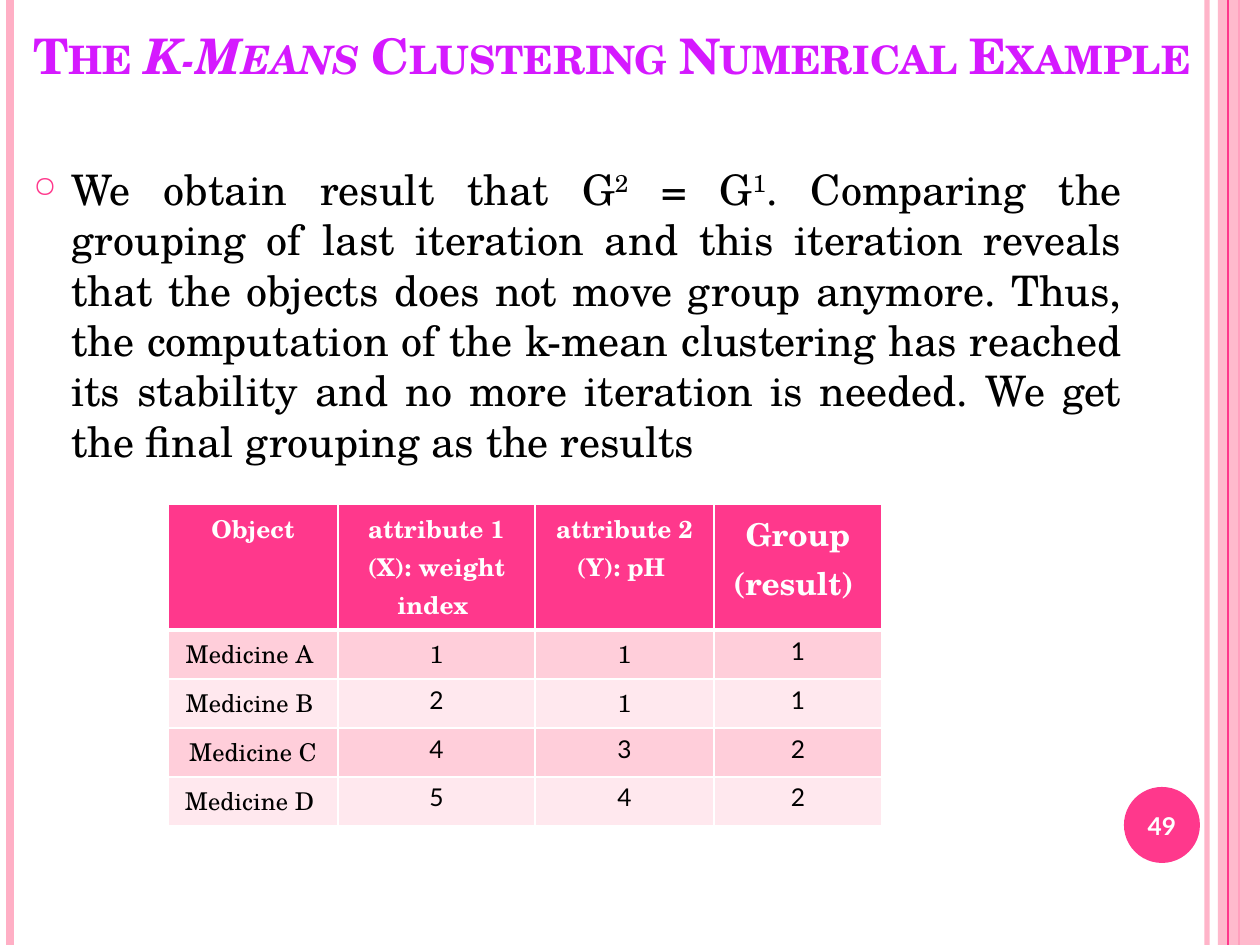
from dataclasses import dataclass

from lxml.etree import SubElement
from pptx import Presentation
from pptx.dml.color import RGBColor
from pptx.enum.shapes import MSO_CONNECTOR, MSO_SHAPE
from pptx.enum.text import MSO_ANCHOR, PP_ALIGN
from pptx.oxml.ns import qn
from pptx.util import Emu, Pt

PX_PER_INCH = 126
WIDTH, HEIGHT = 1260, 945


@dataclass(frozen=True)
class Theme:
    accent: str = "FF388C"
    pale: str = "FFAFC5"
    band_dark: str = "FFCEDA"
    band_light: str = "FFE8EE"
    title: str = "D519FF"
    ink: str = "000000"
    white: str = "FFFFFF"
    serif: str = "TeX Gyre Schola"
    sans: str = "Lato"
    title_size: int = 28
    body_size: int = 24
    result_size: int = 18
    cell_size: int = 14


THEME = Theme()

# Each span is its text and a style: "" plain, "i" italic, "sup" superscript
TITLE = [("The ", ""), ("K-Means", "i"), (" Clustering Numerical Example", "")]
BODY = [
    ("We obtain result that G", ""), ("2", "sup"), (" = G", ""), ("1", "sup"),
    (". Comparing the grouping of last iteration and this iteration reveals "
     "that the objects does not move group anymore. Thus, the computation of "
     "the k-mean clustering has reached its stability and no more iteration "
     "is needed. We get the final grouping as the results ", ""),
]
HEADER = ["Object", "attribute 1 (X): weight index ",
          "attribute 2 (Y): pH ", "Group (result) "]
ROWS = [
    ["Medicine A ", "1", "1", "1"],
    ["Medicine B ", "2", "1", "1"],
    ["Medicine C", "4", "3", "2"],
    ["Medicine D ", "5", "4", "2"],
]
SERIF_VALUES = {(1, 1), (1, 2), (2, 2)}
COLUMN_WIDTHS = [170, 197, 179, 168]
HEADER_HEIGHT, ROW_HEIGHT = 126, 49


def px(length):
    return Emu(round(length * 914400 / PX_PER_INCH))


def rgb(color):
    return RGBColor.from_string(color)


def style_font(font, face, size, color, bold=False):
    font.name = face
    font.size = Pt(size)
    font.bold = bold
    font.color.rgb = rgb(color)


def set_alpha(parent, percent):
    color = next(parent.iter(qn("a:srgbClr")))
    SubElement(color, qn("a:alpha"), val=str(percent * 1000))


def add_rule(page, x, color, weight, alpha=100):
    rule = page.shapes.add_connector(
        MSO_CONNECTOR.STRAIGHT, px(x), 0, px(x), px(HEIGHT))
    rule.line.color.rgb = rgb(color)
    rule.line.width = Pt(weight)
    if alpha < 100:
        set_alpha(rule._element.spPr, alpha)
    SubElement(rule._element.spPr, qn("a:effectLst"))


def add_solid(page, kind, frame, color, alpha=100):
    shape = page.shapes.add_shape(kind, *map(px, frame))
    shape.shadow.inherit = False
    shape.fill.solid()
    shape.fill.fore_color.rgb = rgb(color)
    shape.line.fill.background()
    if alpha < 100:
        set_alpha(shape._element.spPr, alpha)


def add_box(page, frame, anchor):
    box = page.shapes.add_textbox(*map(px, frame))
    box.text_frame.word_wrap = True
    box.text_frame.vertical_anchor = anchor
    return box.text_frame.paragraphs[0]


def add_spans(para, spans, *look):
    for text, style in spans:
        span = para.add_run()
        span.text = text
        style_font(span.font, *look)
        if style == "i":
            span.font.italic = True
        elif style == "sup":
            span.font._element.set("baseline", "30000")


def add_bullet(para, char, color, percent):
    props = para._p.get_or_add_pPr()
    props.set("marL", str(px(38)))
    props.set("indent", str(-px(38)))
    bullet_color = SubElement(props, qn("a:buClr"))
    SubElement(bullet_color, qn("a:srgbClr"), val=color)
    SubElement(props, qn("a:buSzPct"), val=str(percent * 1000))
    SubElement(props, qn("a:buChar"), char=char)


def set_title(page):
    title = page.shapes.title
    title.left, title.top, title.width, title.height = map(px, (21, 32, 1239, 59))
    title.text_frame.word_wrap = True
    title.text_frame.vertical_anchor = MSO_ANCHOR.BOTTOM
    para = title.text_frame.paragraphs[0]
    para.alignment = PP_ALIGN.LEFT
    add_spans(para, TITLE, THEME.serif, THEME.title_size, THEME.title, True)
    for span in para.runs:
        span.font._element.set("cap", "small")


def add_body(page):
    para = add_box(page, (21, 157, 1113, 357), MSO_ANCHOR.TOP)
    para.alignment = PP_ALIGN.JUSTIFY
    add_bullet(para, "○", THEME.accent, 70)
    add_spans(para, BODY, THEME.serif, THEME.body_size, THEME.ink)


def set_borders(cell, top, bottom):
    props = cell._tc.get_or_add_tcPr()
    weights = {"a:lnL": 1, "a:lnR": 1, "a:lnT": top, "a:lnB": bottom}
    for place, (tag, weight) in enumerate(weights.items()):
        line = SubElement(props, qn(tag), w=str(Pt(weight)))
        fill = SubElement(line, qn("a:solidFill"))
        SubElement(fill, qn("a:srgbClr"), val=THEME.white)
        props.insert(place, line)


def fill_cell(cell, text, row, column):
    header = row == 0
    serif = header or column == 0 or (row, column) in SERIF_VALUES
    band = THEME.band_dark if row % 2 else THEME.band_light
    cell.fill.solid()
    cell.fill.fore_color.rgb = rgb(THEME.accent if header else band)
    set_borders(cell, top=3 if row == 1 else 1, bottom=3 if header else 1)
    cell.margin_top = cell.margin_bottom = px(6)
    cell.text = text
    para = cell.text_frame.paragraphs[0]
    para.alignment = PP_ALIGN.CENTER
    size = THEME.result_size if header and column == 3 else THEME.cell_size
    style_font(para.runs[0].font, THEME.serif if serif else THEME.sans, size,
               THEME.white if header else THEME.ink, header)


def add_result_table(page):
    heights = [HEADER_HEIGHT] + [ROW_HEIGHT] * len(ROWS)
    frame = (168, 504, sum(COLUMN_WIDTHS), sum(heights))
    table = page.shapes.add_table(
        len(heights), len(COLUMN_WIDTHS), *map(px, frame)).table
    for column, width in zip(table.columns, COLUMN_WIDTHS):
        column.width = px(width)
    for row, (height, texts) in enumerate(zip(heights, [HEADER] + ROWS)):
        table.rows[row].height = px(height)
        for column, text in enumerate(texts):
            fill_cell(table.cell(row, column), text, row, column)


def add_frame(page):
    add_rule(page, 1207, THEME.pale, 3, alpha=93)
    add_rule(page, 10, THEME.pale, 4.5)
    add_rule(page, 1239, THEME.accent, 1.5)
    add_solid(page, MSO_SHAPE.RECTANGLE, (1218, 0, 42, HEIGHT), THEME.pale, alpha=87)
    add_rule(page, 1228, THEME.accent, 0.75)


def add_page_number(page):
    add_solid(page, MSO_SHAPE.OVAL, (1124, 787, 76, 76), THEME.accent)
    para = add_box(page, (1120, 790, 84, 72), MSO_ANCHOR.MIDDLE)
    para.alignment = PP_ALIGN.CENTER
    add_spans(para, [("49", "")], THEME.sans, THEME.cell_size, THEME.white, True)


def main():
    deck = Presentation()
    deck.slide_width, deck.slide_height = px(WIDTH), px(HEIGHT)
    page = deck.slides.add_slide(deck.slide_layouts[5])
    add_frame(page)
    add_page_number(page)
    add_body(page)
    set_title(page)
    add_result_table(page)
    deck.save("out.pptx")


if __name__ == "__main__":
    main()
